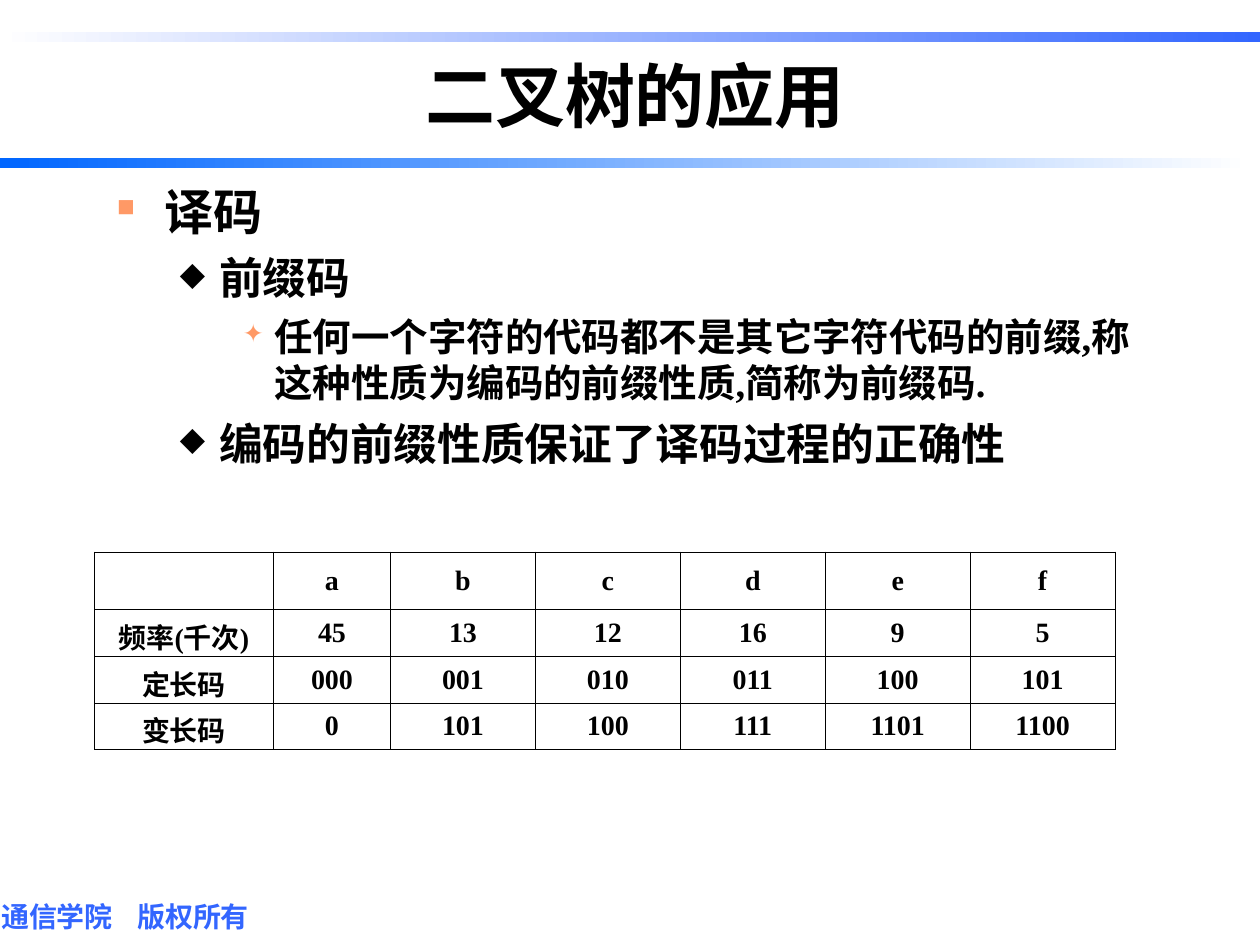
"""Build the slide on prefix codes with its code table."""
from dataclasses import dataclass

from lxml.etree import SubElement
from pptx import Presentation
from pptx.dml.color import RGBColor
from pptx.enum.shapes import MSO_SHAPE as Shape
from pptx.enum.text import MSO_ANCHOR as Anchor, PP_ALIGN as Align
from pptx.oxml.ns import qn
from pptx.util import Inches, Pt


@dataclass(frozen=True)
class Theme:
    latin: str = "Times New Roman"
    asian: str = "Noto Sans CJK JP"
    black: str = "000000"
    white: str = "FFFFFF"
    blue: str = "3366FF"
    bright_blue: str = "0066FF"
    orange: str = "FF9966"
    title: int = 40
    levels: tuple = (28, 25, 22)
    small: int = 16
    border: float = 0.45


theme = Theme()


def add_element(parent, tag, **attributes):
    element = SubElement(parent, qn(tag))
    for name, value in attributes.items():
        element.set(name, str(value))
    return element


def write(paragraph, text, size, color=theme.black, latin=theme.latin, align=Align.LEFT, before=0, line=None):
    paragraph.alignment = align
    paragraph.space_before = Pt(before)
    if line:
        paragraph.line_spacing = line
    run = paragraph.add_run()
    run.text = text
    run.font.size = Pt(size)
    run.font.bold = True
    run.font.color.rgb = RGBColor.from_string(color)
    run.font.name = latin
    add_element(run.font._element, "a:ea", typeface=theme.asian)


presentation = Presentation()
presentation.slide_width, presentation.slide_height = Inches(10), Inches(7.5)
slide = presentation.slides.add_slide(presentation.slide_layouts[5])
shapes = slide.shapes

bars = [
    (1.25, 9.92, theme.bright_blue, theme.white),
    (0.25, 10, theme.white, theme.blue),
]
for top, width, *colors in bars:
    bar = shapes.add_shape(Shape.RECTANGLE, 0, Inches(top), Inches(width), Inches(0.08))
    bar.shadow.inherit = False
    bar.line.fill.background()
    bar.fill.gradient()
    bar.fill.gradient_angle = 0
    for stop, color in zip(bar.fill.gradient_stops, colors):
        stop.color.rgb = RGBColor.from_string(color)

title = shapes.title
title.left, title.top, title.width, title.height = Inches(1), Inches(0.42), Inches(8.08), Inches(0.83)
title.text_frame.vertical_anchor = Anchor.MIDDLE
write(title.text_frame.paragraphs[0], "二叉树的应用", theme.title, align=Align.CENTER, line=0.7)

footer = shapes.add_textbox(0, Inches(7.13), Inches(2.17), Inches(0.28)).text_frame
footer.word_wrap = True
footer.vertical_anchor = Anchor.MIDDLE
footer.margin_left = footer.margin_right = footer.margin_top = footer.margin_bottom = Inches(0.01)
tabs = add_element(footer.paragraphs[0]._p.get_or_add_pPr(), "a:tabLst")
add_element(tabs, "a:tab", pos=Inches(1.08), algn="l")
write(footer.paragraphs[0], "通信学院\t版权所有", theme.small, theme.blue, theme.asian)

bullets = [
    ("■", theme.orange, 50, 0.38, 0.38, 0),
    ("◆", theme.black, 75, 0.81, 0.31, 6.2),
    ("✦", theme.orange, 65, 1.25, 0.25, 5.5),
]
outline = [
    (0, "译码"),
    (1, "前缀码"),
    (2, "任何一个字符的代码都不是其它字符代码的前缀,称这种性质为编码的前缀性质,简称为前缀码."),
    (1, "编码的前缀性质保证了译码过程的正确性"),
]
body = shapes.add_textbox(Inches(0.83), Inches(1.39), Inches(8.51), Inches(2.6)).text_frame
body.word_wrap = True
for index, (level, text) in enumerate(outline):
    paragraph = body.add_paragraph() if index else body.paragraphs[0]
    paragraph.level = level
    symbol, color, percent, margin, hanging, before = bullets[level]
    properties = paragraph._p.get_or_add_pPr()
    properties.set("marL", str(Inches(margin)))
    properties.set("indent", str(-Inches(hanging)))
    add_element(add_element(properties, "a:buClr"), "a:srgbClr", val=color)
    add_element(properties, "a:buSzPct", val=percent * 1000)
    add_element(properties, "a:buChar", char=symbol)
    write(paragraph, text, theme.levels[level], before=before)

rows = [
    ["", "a", "b", "c", "d", "e", "f"],
    ["频率(千次)", "45", "13", "12", "16", "9", "5"],
    ["定长码", "000", "001", "010", "011", "100", "101"],
    ["变长码", "0", "101", "100", "111", "1101", "1100"],
]
column_widths = [1.42, 0.93] + [1.15] * 5
row_heights = [0.46] + [0.37] * 3
table = shapes.add_table(
    len(rows), len(column_widths), Inches(0.75), Inches(4.38), Inches(sum(column_widths)), Inches(sum(row_heights))
).table
table.first_row = table.horz_banding = False
for column, width in zip(table.columns, column_widths):
    column.width = Inches(width)
for row, height, texts in zip(table.rows, row_heights, rows):
    row.height = Inches(height)
    for cell, text in zip(row.cells, texts):
        cell.vertical_anchor = Anchor.MIDDLE
        for side in ("a:lnL", "a:lnR", "a:lnT", "a:lnB"):
            border = add_element(cell._tc.get_or_add_tcPr(), side, w=Pt(theme.border))
            add_element(add_element(border, "a:solidFill"), "a:srgbClr", val=theme.black)
        cell.fill.background()
        if text:
            write(cell.text_frame.paragraphs[0], text, theme.small, align=Align.CENTER)

presentation.save("out.pptx")
